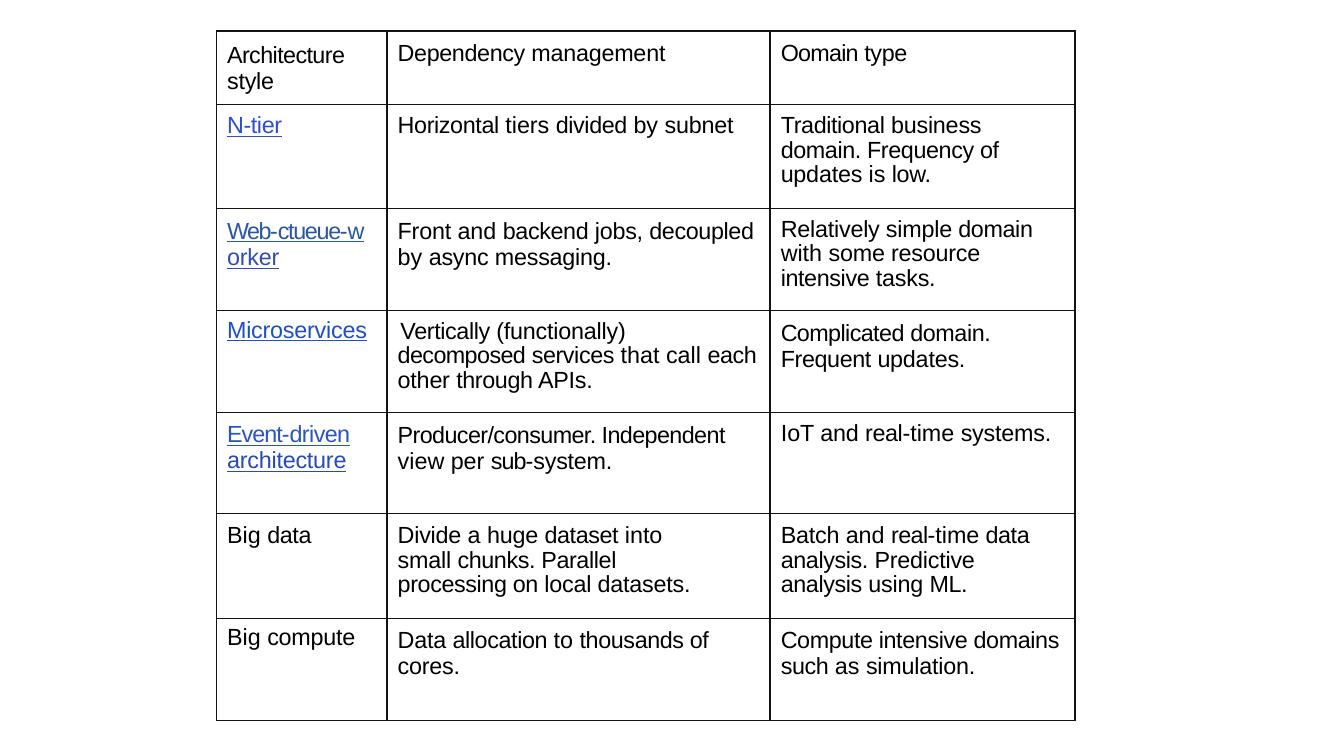
"""Build a slide with a table comparing architecture styles."""
import pptx
import pptx.util
import pptx.dml.color
import pptx.oxml
import pptx.oxml.ns

Inches, Pt = pptx.util.Inches, pptx.util.Pt

HUES = {"text": "000000", "edge": "131313", "tier": "2F4DD3", "queue": "2856A5",
        "work": "314DB3", "micro": "1D4FC8", "event": "2A54C1", "arch": "264BB8"}
FONT, SIZE, EDGE = "Arial", 12.5, 0.75
WIDE, RATIO = 10, 9 / 16
LEFT, TOP, INDENT = 1.61, 0.23, 0.08
COLS = [1.27, 2.85, 2.27]
ROWS = [0.55, 0.77, 0.76, 0.76, 0.75, 0.78, 0.76]

# cell: top inset, line spacing (None, share or points), right indent, runs, first indent
# run: words, letter spacing in points, link hue if any
CELLS = [
    [
        (0.08, 14.2, 0, [("Architecture ", -0.3), ("style", -0.1)]),
        (0.07, None, 0, [("Dependency ", -0.2), ("management", -0.1)]),
        (0.07, None, 0, [("Oomain ", -0.4), ("type", -0.2)]),
    ],
    [
        (0.06, None, 0, [("N-tier", -0.2, "tier")]),
        (0.06, None, 0, [("Horizontal ", -0.2), ("tiers ", 0), ("divided ", -0.2),
                         ("by ", 0), ("subnet", -0.1)]),
        (0.07, 0.94, 0.3, [("Traditional ", -0.2), ("business ", -0.1),
                           ("domain. Frequency of ", -0.2), ("updates ", -0.1),
                           ("is ", 0), ("low.", -0.2)]),
    ],
    [
        (0.07, 14.2, 0, [("Web-", -0.8, "queue"), ("ctueue-", -0.7, "queue"),
                         ("w", -0.5, "queue"), (" ", -0.5), ("orker", -0.1, "work")]),
        (0.07, 14.2, 0, [("Front ", -0.1), ("and ", 0), ("backend ", -0.2),
                         ("jobs, ", -0.1), ("decoupled ", -0.2), ("by ", 0),
                         ("async messaging.", -0.1)]),
        (0.07, 0.94, 0.15, [("Relatively simple ", -0.1), ("domain ", -0.2),
                            ("with ", 0), ("some resource ", -0.1),
                            ("intensive ", -0.2), ("tasks.", -0.1)]),
    ],
    [
        (0.05, None, 0, [("Microservices", -0.1, "micro")]),
        (0.07, 0.94, 0.09, [("Vertically ", -0.2), ("(functionally) ", -0.1),
                            ("decomposed ", -0.3), ("services ", -0.2),
                            ("that call ", 0), ("each ", -0.2), ("other ", -0.1),
                            ("through", -0.2), (" APIs.", -0.1)], 0.02),
        (0.07, 14.2, 0, [("Complicated ", -0.3), ("domain. Frequent ", -0.2),
                         ("updates.", -0.1)]),
    ],
    [
        (0.07, 13.9, 0, [("Event-", -0.5, "event"), ("driven", -0.3, "event"),
                         (" ", -0.3), ("architecture", -0.1, "arch")]),
        (0.07, 14.2, 0, [("Producer/consumer. Independent ", -0.3),
                         ("view per ", 0), ("sub-", -0.5), ("system.", -0.1)]),
        (0.06, None, 0, [("IoT ", 0), ("and ", -0.1), ("real-", -0.2),
                         ("time ", 0), ("systems.", -0.1)]),
    ],
    [
        (0.07, None, 0, [("Big ", 0), ("data", -0.2)]),
        (0.08, 0.94, 0.5, [("Divide ", -0.1), ("a ", 0), ("huge ", -0.1),
                           ("dataset ", -0.2), ("into ", 0), ("small ", -0.1),
                           ("chunks. Parallel processing on ", -0.2),
                           ("local datasets.", -0.1)]),
        (0.08, 0.94, 0.2, [("Batch ", -0.1), ("and ", 0), ("real-", -0.3),
                           ("time", 0), (" data analysis. ", -0.2),
                           ("Predictive ", -0.1), ("analysis ", -0.2),
                           ("using ", -0.1), ("ML.", -0.2)]),
    ],
    [
        (0.05, None, 0, [("Big ", 0), ("compute", -0.1)]),
        (0.07, 13.9, 0.2, [("Data ", -0.1), ("allocation ", -0.2), ("to ", 0),
                           ("thousands of ", -0.2), ("cores.", -0.1)]),
        (0.07, 13.9, 0, [("Compute intensive domains such ", -0.2), ("as ", 0),
                         ("simulation.", -0.1)]),
    ],
]


def add_run(para, words, gap, link=None):
    run = para.add_run()
    run.text = words
    font = run.font
    font.name, font.size = FONT, Pt(SIZE)
    font.color.rgb = pptx.dml.color.RGBColor.from_string(HUES[link or "text"])
    font.underline = link is not None
    run._r.get_or_add_rPr().set("spc", str(round(gap * 100)))


def set_edges(cell):
    props = cell._tc.get_or_add_tcPr()
    for side in "LRTB":
        props.append(pptx.oxml.parse_xml(
            f'<a:ln{side} {pptx.oxml.ns.nsdecls("a")} w="{Pt(EDGE)}"><a:solidFill>'
            f'<a:srgbClr val="{HUES["edge"]}"/></a:solidFill></a:ln{side}>'))


def fill_cell(cell, top, line, right, runs, first=0):
    set_edges(cell)
    cell.fill.background()
    cell.margin_left = cell.margin_right = cell.margin_bottom = 0
    cell.margin_top = Inches(top)
    para = cell.text_frame.paragraphs[0]
    props = para._p.get_or_add_pPr()
    for key, size in (("marL", INDENT), ("marR", right), ("indent", first)):
        props.set(key, str(Inches(size)))
    if line:
        para.line_spacing = Pt(line) if line > 2 else line
    for run in runs:
        add_run(para, *run)


def main():
    deck = pptx.Presentation()
    deck.slide_width, deck.slide_height = Inches(WIDE), Inches(WIDE * RATIO)
    slide = deck.slides.add_slide(deck.slide_layouts[6])
    table = slide.shapes.add_table(
        len(ROWS), len(COLS), Inches(LEFT), Inches(TOP),
        Inches(sum(COLS)), Inches(sum(ROWS))).table
    table.first_row = table.horz_banding = False
    for col, width in zip(table.columns, COLS):
        col.width = Inches(width)
    for row, height, cells in zip(table.rows, ROWS, CELLS):
        row.height = Inches(height)
        for cell, data in zip(row.cells, cells):
            fill_cell(cell, *data)
    deck.save("out.pptx")


if __name__ == "__main__":
    main()
